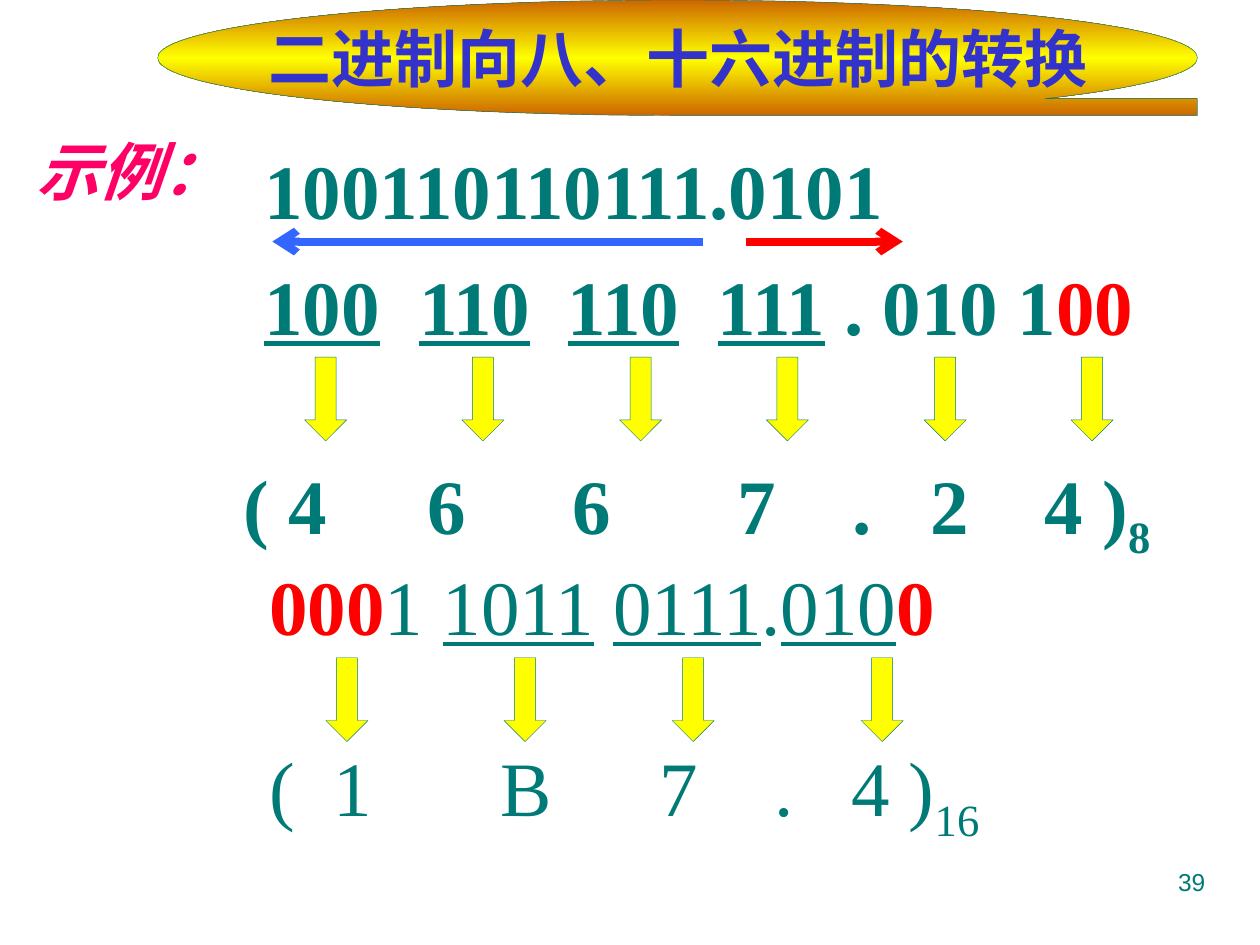
from copy import deepcopy
from dataclasses import dataclass

from lxml import etree
from pptx import Presentation
from pptx.dml.color import RGBColor
from pptx.enum.shapes import MSO_CONNECTOR, MSO_SHAPE
from pptx.enum.text import MSO_ANCHOR, MSO_AUTO_SIZE, PP_ALIGN
from pptx.oxml.ns import qn
from pptx.util import Cm, Pt

LEFT, CENTER, RIGHT = PP_ALIGN.LEFT, PP_ALIGN.CENTER, PP_ALIGN.RIGHT
TOP, MIDDLE = MSO_ANCHOR.TOP, MSO_ANCHOR.MIDDLE
GROW, FIXED = MSO_AUTO_SIZE.SHAPE_TO_FIT_TEXT, MSO_AUTO_SIZE.NONE
TAPE, DOWN = MSO_SHAPE.FLOWCHART_SEQUENTIAL_ACCESS_STORAGE, MSO_SHAPE.DOWN_ARROW
STRAIGHT = MSO_CONNECTOR.STRAIGHT

SERIF, SANS, CJK = "Times New Roman", "Arial", "Noto Sans CJK SC"
TEAL, RED, YELLOW = "007A77", "FF0000", "FFFF00"
ORANGE, BLUE, INDIGO, PINK = "CC6600", "3366FF", "3333CC", "FF0066"


@dataclass
class Run:
    text: str
    color: str = TEAL
    bold: bool = False
    underline: bool = False
    subscript: bool = False


@dataclass
class ArrowRow:
    top: float
    lefts: tuple


@dataclass
class Direction:
    start: float
    end: float
    color: str


def rgb(value: str) -> RGBColor:
    return RGBColor.from_string(value)


def write(tf, paragraphs, size=44, font=SERIF, italic=False, align=LEFT,
          anchor=TOP, wrap=True, fit=GROW, tabs=(), gap=0):
    """Fill a text frame with paragraphs, each a list of runs."""
    tf.word_wrap, tf.auto_size, tf.vertical_anchor = wrap, fit, anchor
    for i, runs in enumerate(paragraphs):
        p = tf.add_paragraph() if i else tf.paragraphs[0]
        p.alignment = align
        if i:
            p.space_before = Pt(gap)
        if tabs:
            stops = etree.SubElement(p._p.get_or_add_pPr(), qn("a:tabLst"))
            for pos in tabs:
                etree.SubElement(stops, qn("a:tab"), pos=str(Cm(pos)), algn="l")
        for run in runs:
            r = p.add_run()
            r.text = run.text
            f = r.font
            f.size, f.name, f.italic = Pt(size), font, italic
            f.bold, f.underline = run.bold, run.underline
            f.color.rgb = rgb(run.color)
            etree.SubElement(r._r.rPr, qn("a:ea"), typeface=CJK)
            if run.subscript:
                r._r.rPr.set("baseline", "-25000")


def add_text(s, box: tuple, paragraphs: list, **fmt) -> None:
    write(s.shapes.add_textbox(*map(Cm, box)).text_frame, paragraphs, **fmt)


def add_outlined(s, kind, box: tuple):
    sp = s.shapes.add_shape(kind, *map(Cm, box))
    sp.shadow.inherit = False
    sp.line.color.rgb, sp.line.width = rgb(TEAL), Pt(0.25)
    return sp


def add_banner(s, box: tuple, text: str) -> None:
    sp = add_outlined(s, TAPE, box)
    sp.fill.gradient()
    sp.fill.gradient_angle = 270
    stops = sp._element.spPr.find(".//" + qn("a:gsLst"))
    stops.append(deepcopy(stops[-1]))
    colors = (ORANGE, YELLOW, ORANGE)
    for i, (stop, color) in enumerate(zip(sp.fill.gradient_stops, colors)):
        stop.position, stop.color.rgb = i / 2, rgb(color)
    write(sp.text_frame, [[Run(text, INDIGO, bold=True)]], size=36, font=CJK,
          align=CENTER, anchor=MIDDLE, wrap=False, fit=FIXED)


def add_arrow_row(s, row: ArrowRow) -> None:
    for left in row.lefts:
        sp = add_outlined(s, DOWN, (left, row.top, 0.85, 1.69))
        sp.fill.solid()
        sp.fill.fore_color.rgb = rgb(YELLOW)


def add_direction(s, d: Direction, y: float) -> None:
    line = s.shapes.add_connector(STRAIGHT, Cm(d.start), Cm(y), Cm(d.end), Cm(y))
    line.line.color.rgb, line.line.width = rgb(d.color), Pt(4.5)
    etree.SubElement(line.line._get_or_add_ln(), qn("a:tailEnd"), type="arrow")
    etree.SubElement(line._element.spPr, qn("a:effectLst"))


def underlined_groups(groups: list, gap: str, bold: bool) -> list:
    """Underline each digit group and put a plain gap after it."""
    return [run for group in groups
            for run in (Run(group, bold=bold, underline=True), Run(gap, bold=bold))]


def main() -> None:
    prs = Presentation()
    prs.slide_width, prs.slide_height = Cm(25.4), Cm(19.05)
    s = prs.slides.add_slide(prs.slide_layouts[6])

    # Binary number split into groups of three
    triples = underlined_groups(["100", "110", "110"], "\t", True)
    triples += underlined_groups(["111"], " . 010 1", True)
    add_text(s, (5.08, 5.08, 19.47, 2.12),
             [triples + [Run("00", RED, bold=True)]], tabs=(3.12, 6.12, 9.14))

    # Title
    add_banner(s, (3.18, 0, 20.96, 2.33), "二进制向八、十六进制的转换")

    # Groups of four and the hexadecimal result
    quads = [Run("000", RED, bold=True), Run("1 ")]
    quads += underlined_groups(["1011"], " ", False)
    quads += underlined_groups(["0111"], ".", False)
    quads += [Run("010", underline=True), Run("0", RED, bold=True)]
    hexadecimal = [Run("(\t1\tB\t7\t.\t4 )"), Run("16", subscript=True)]
    add_text(s, (5.18, 11.23, 16.16, 5.84), [quads, hexadecimal], anchor=MIDDLE,
             tabs=(1.3, 4.67, 7.87, 10.19, 11.73), gap=50.6)
    add_arrow_row(s, ArrowRow(13.26, (6.57, 10.16, 13.55, 17.36)))

    # Example label
    add_text(s, (0, 2.54, 5.29, 1.78), [[Run("示例：", PINK, bold=True)]],
             size=36, italic=True, align=CENTER, anchor=MIDDLE)

    # Octal result
    add_arrow_row(s, ArrowRow(7.2, (6.14, 9.31, 12.49, 15.45, 18.63, 21.59)))
    octal = [Run("( 4\t6\t6\t7\t.\t2\t4 )", bold=True),
             Run("8", bold=True, subscript=True)]
    add_text(s, (4.66, 9.1, 19.47, 2.12), [octal],
             tabs=(3.71, 6.63, 9.96, 12.27, 13.84, 16.15))

    # Binary number, page number and grouping directions
    add_text(s, (5.08, 2.75, 15.88, 2.12), [[Run("100110110111.0101", bold=True)]])
    add_text(s, (18.2, 17.36, 6.35, 1.31), [[Run("39")]],
             size=14, font=SANS, align=RIGHT, fit=FIXED)
    for d in (Direction(14.18, 5.49, BLUE), Direction(15.04, 18.2, RED)):
        add_direction(s, d, 4.87)

    prs.save("out.pptx")


if __name__ == "__main__":
    main()
